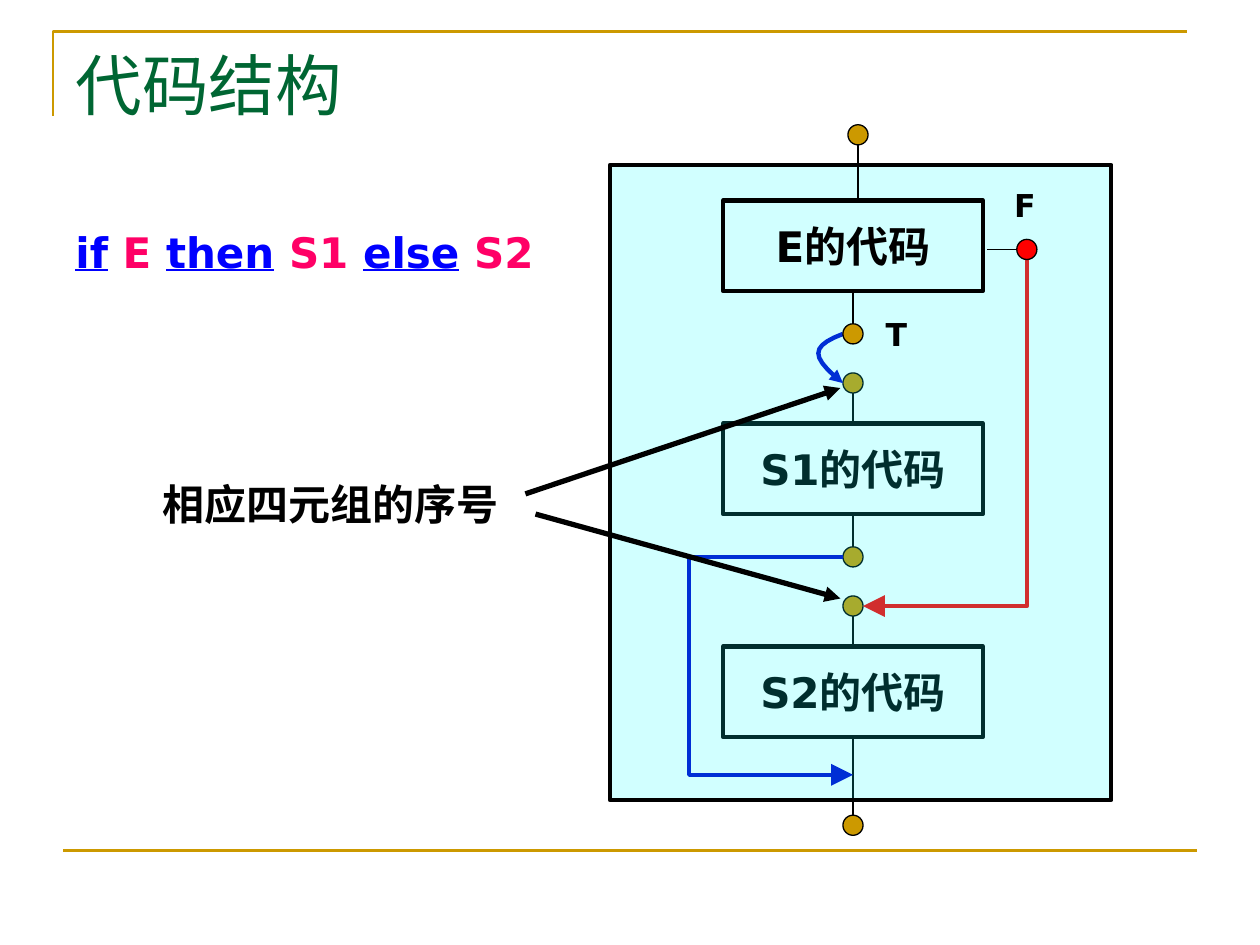
from dataclasses import dataclass

import pptx
import pptx.dml.color
import pptx.enum.shapes
import pptx.enum.text
import pptx.oxml.ns
import pptx.util
from lxml import etree

Inches = pptx.util.Inches
Pt = pptx.util.Pt
qn = pptx.oxml.ns.qn
MSO = pptx.enum.shapes.MSO_SHAPE
ALIGN = pptx.enum.text.PP_ALIGN
ANCHOR = pptx.enum.text.MSO_ANCHOR
GOLD, BLUE, RED, BLACK = "CC9900", "0000CC", "FF0000", "000000"
KEYWORD, SYMBOL = "0000FF", "FF0066"
CJK = "Noto Sans CJK SC"
AXIS = 6.77
BOX_W, BOX_H, DOT = 2.06, 0.72, 0.16


@dataclass
class Block:
    text: str
    top: float
    entry_x: float
    entry_y: float
    exit_y: float


@dataclass
class Route:
    points: list
    color: str
    width: float = 2.5
    head: str = ""


@dataclass
class Label:
    runs: list
    box: tuple
    size: int = 24
    font: str = "DejaVu Sans"
    align: ALIGN = ALIGN.LEFT
    anchor: ANCHOR = ANCHOR.TOP


def rgb(value: str):
    return pptx.dml.color.RGBColor.from_string(value)


def set_all(target, values: dict) -> None:
    for name, value in values.items():
        setattr(target, name, value)


def style_line(sp, color: str, width: float, head: str = "") -> None:
    sp.line.color.rgb = rgb(color)
    sp.line.width = Pt(width)
    if head:
        ln = sp.line._get_or_add_ln()
        etree.SubElement(ln, qn("a:tailEnd"), type="triangle", w=head, len=head)


def add_run(p, text: str, color: str, size: int, font: str, **formats) -> None:
    r = p.add_run()
    r.text = text
    set_all(r.font, {"size": Pt(size), "name": font, **formats})
    r.font.color.rgb = rgb(color)
    etree.SubElement(r._r.get_or_add_rPr(), qn("a:ea"), typeface=CJK)


def add_shape(s, kind, box: tuple, fill: str = "", width: float = 2.5):
    sp = s.shapes.add_shape(kind, *map(Inches, box))
    sp.shadow.inherit = False
    if fill:
        sp.fill.solid()
        sp.fill.fore_color.rgb = rgb(fill)
    else:
        sp.fill.background()
    style_line(sp, BLACK, width)
    return sp


def add_dot(s, x: float, y: float, fill: str = GOLD) -> None:
    add_shape(s, MSO.OVAL, (x - DOT / 2, y - DOT / 2, DOT, DOT), fill, 0.75)


def add_line(s, start: tuple, end: tuple, color: str = BLACK, width: float = 0.75, head: str = ""):
    cx = s.shapes.add_connector(
        pptx.enum.shapes.MSO_CONNECTOR.STRAIGHT, *map(Inches, start + end))
    style_line(cx, color, width, head)
    etree.SubElement(cx._element.spPr, qn("a:effectLst"))
    return cx


def add_route(s, route: Route) -> None:
    points = [(Inches(x), Inches(y)) for x, y in route.points]
    fb = s.shapes.build_freeform(*points[0])
    fb.add_line_segments(points[1:], close=False)
    sp = fb.convert_to_shape()
    sp.shadow.inherit = False
    sp.fill.background()
    style_line(sp, route.color, route.width, route.head)


def bezier(a: tuple, b: tuple, c: tuple, d: tuple, steps: int = 10) -> list:
    def point(t: float) -> tuple:
        u = 1 - t
        weights = (u ** 3, 3 * u * u * t, 3 * u * t * t, t ** 3)
        return tuple(sum(w * v for w, v in zip(weights, axis)) for axis in zip(a, b, c, d))
    return [point(i / steps) for i in range(steps + 1)]


def add_block(s, block: Block) -> None:
    box = add_shape(s, MSO.RECTANGLE, (AXIS - BOX_W / 2, block.top, BOX_W, BOX_H))
    tf = box.text_frame
    set_all(tf, {"word_wrap": True, "vertical_anchor": ANCHOR.MIDDLE})
    p = tf.paragraphs[0]
    p.alignment = ALIGN.CENTER
    add_run(p, block.text, BLACK, 24, "DejaVu Sans", bold=True)

    add_dot(s, block.entry_x, block.entry_y)
    entry = add_line(s, (block.entry_x, block.entry_y + DOT / 2), (block.entry_x, block.top))
    if block.entry_x == AXIS:
        entry.end_connect(box, 0)
    add_dot(s, AXIS, block.exit_y)
    leave = add_line(s, (AXIS, block.exit_y - DOT / 2), (AXIS, block.top + BOX_H))
    leave.end_connect(box, 2)


def add_label(s, label: Label) -> None:
    tf = s.shapes.add_textbox(*map(Inches, label.box)).text_frame
    set_all(tf, {"word_wrap": True, "vertical_anchor": label.anchor})
    p = tf.paragraphs[0]
    p.alignment = label.align
    for text, color in label.runs:
        add_run(p, text, color, label.size, label.font, bold=True, underline=color == KEYWORD)


def add_title(s, text: str) -> None:
    title = s.shapes.title
    set_all(title, {"left": Inches(0.5), "top": Inches(0.3),
                    "width": Inches(9), "height": Inches(1.25)})
    title.text_frame.vertical_anchor = ANCHOR.TOP
    p = title.text_frame.paragraphs[0]
    p.alignment = ALIGN.LEFT
    add_run(p, text, "006633", 38, CJK)


def main() -> None:
    prs = pptx.Presentation()
    set_all(prs, {"slide_width": Inches(10), "slide_height": Inches(7.5)})
    s = prs.slides.add_slide(prs.slide_layouts[5])

    add_route(s, Route([(0.42, 0.92), (0.42, 0.25), (9.42, 0.25)], GOLD, 1.5))
    add_line(s, (0.5, 6.75), (9.5, 6.75), GOLD, 1.5)
    add_title(s, "代码结构")

    for block in (Block("S1的代码", 3.36, AXIS, 3.04, 4.42),
                  Block("S2的代码", 5.13, AXIS, 4.81, 6.55)):
        add_block(s, block)
    for route in (
        Route(bezier((6.69, 2.65), (6.43, 2.75), (6.43, 2.83), (6.69, 3.04)), BLUE, head="med"),
        Route([(8.15, 2.06), (8.15, 4.81), (6.85, 4.81)], RED, head="lg"),
        Route([(6.69, 4.42), (5.47, 4.42), (5.47, 6.15), (AXIS, 6.15)], BLUE, head="lg"),
    ):
        add_route(s, route)

    panel = add_shape(s, MSO.RECTANGLE, (4.84, 1.31, 3.98, 5.04), "00FFFF")
    tint = panel._element.spPr.find(qn("a:solidFill"))[0]
    etree.SubElement(tint, qn("a:alpha"), val="18000")

    add_block(s, Block("E的代码", 1.59, 6.81, 1.07, 2.65))
    add_dot(s, 8.15, 1.98, RED)
    add_line(s, (8.07, 1.98), (7.83, 1.98))

    statement = [("if", KEYWORD), (" ", BLACK), ("E ", SYMBOL), ("then", KEYWORD), (" ", BLACK),
                 ("S1 ", SYMBOL), ("else", KEYWORD), (" ", BLACK), ("S2", SYMBOL)]
    for label in (
        Label(statement, (0.5, 1.75, 4.72, 0.56)),
        Label([("T", BLACK)], (6.93, 2.45, 0.35, 0.4), 18),
        Label([("F", BLACK)], (7.95, 1.43, 0.43, 0.4), 18),
        Label([("相应四元组的序号", BLACK)], (1.08, 3.75, 3.08, 0.5), font="Arial",
              align=ALIGN.CENTER, anchor=ANCHOR.MIDDLE),
    ):
        add_label(s, label)

    for start, end in (((4.17, 3.92), (6.67, 3.08)), ((4.25, 4.08), (6.67, 4.75))):
        add_line(s, start, end, BLACK, 3, "med")

    prs.save("out.pptx")


if __name__ == "__main__":
    main()
